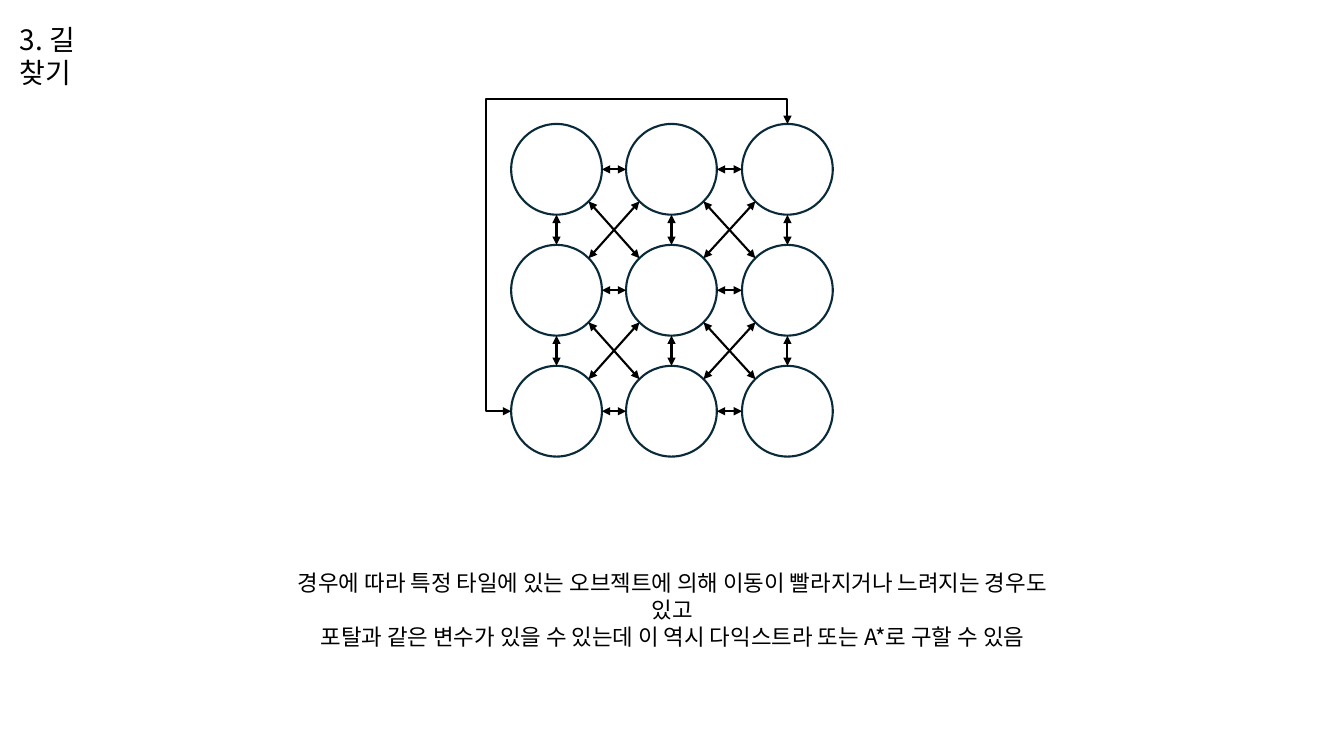
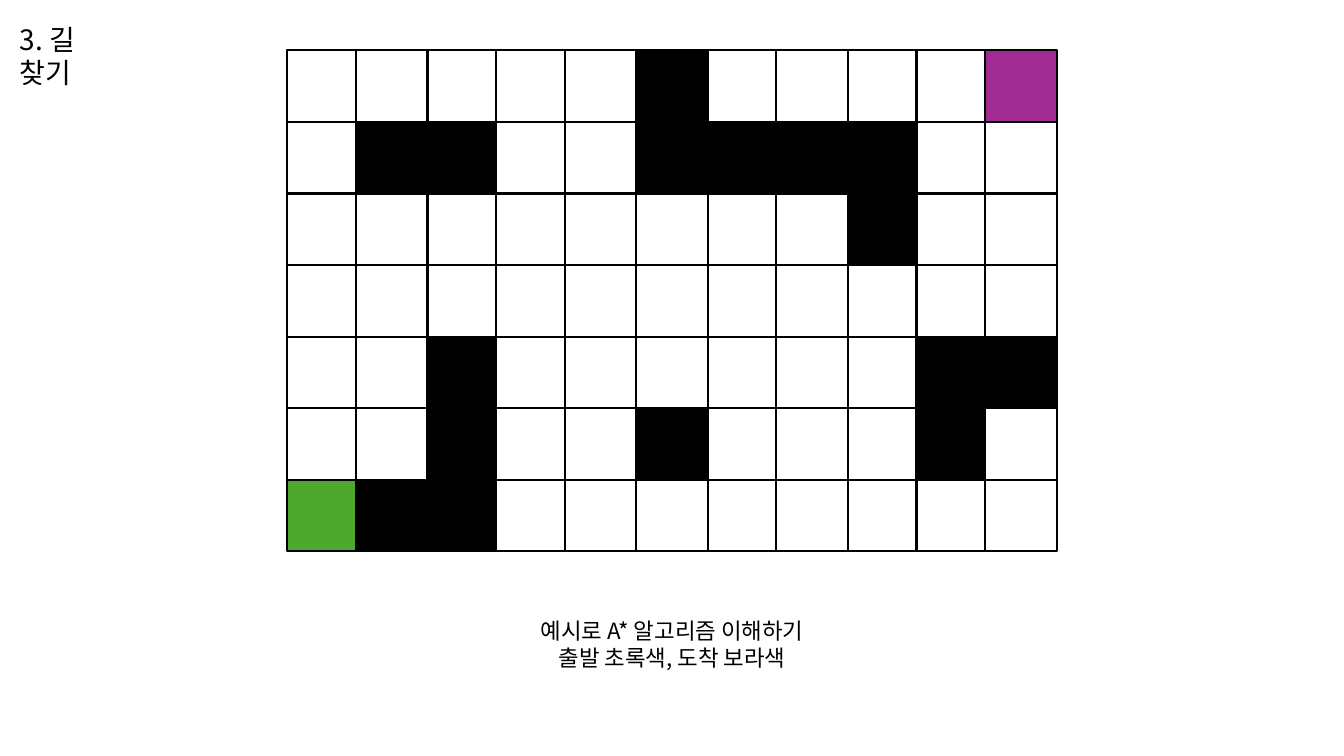
import math

from lxml import etree
from pptx import Presentation
from pptx.dml.color import RGBColor
from pptx.enum.shapes import MSO_CONNECTOR, MSO_SHAPE
from pptx.enum.text import MSO_AUTO_SIZE, PP_ALIGN
from pptx.oxml.ns import qn
from pptx.util import Inches, Pt

STRAIGHT, ELBOW = MSO_CONNECTOR.STRAIGHT, MSO_CONNECTOR.ELBOW
OVAL, RECTANGLE = MSO_SHAPE.OVAL, MSO_SHAPE.RECTANGLE
LEFT, CENTER = PP_ALIGN.LEFT, PP_ALIGN.CENTER
GROW = MSO_AUTO_SIZE.SHAPE_TO_FIT_TEXT

# Shared style
FONT = "Noto Sans CJK KR"
LINE_WIDTH = 1.5
COLORS = {
    "text": "000000",
    "line": "000000",
    "node_line": "092A39",
    "open": "FFFFFF",
    "wall": "000000",
    "start": "4EA72E",
    "goal": "A02B93",
}

# Content
TITLE = "3. 길 찾기"
GRAPH_CAPTION = [
    "경우에 따라 특정 타일에 있는 오브젝트에 의해 이동이 빨라지거나 느려지는 경우도 있고",
    "포탈과 같은 변수가 있을 수 있는데 이 역시 다익스트라 또는 A*로 구할 수 있음",
]
MAZE_CAPTION = ["예시로 A* 알고리즘 이해하기", "출발 초록색, 도착 보라색"]
MAZE = [
    ".....#....G",
    ".##..####..",
    "........#..",
    "...........",
    "..#......##",
    "..#..#...#.",
    "S##........",
]
TILES = {".": "open", "#": "wall", "S": "start", "G": "goal"}

# Node grid: centres, radius and the four directions to neighbours
NODE_X = [5.52, 6.66, 7.81]
NODE_Y = [1.68, 2.88, 4.08]
RADIUS = 0.45
DIRECTIONS = [(1, 0), (0, 1), (1, 1), (-1, 1)]
PORTAL_GAP = 0.25

# Maze grid: neighbouring columns overlap slightly
TILE = 0.71
TILE_X = [2.85, 3.53, 4.24, 4.92, 5.6, 6.31, 7.02, 7.7, 8.41, 9.09, 9.77]
MAZE_TOP = 0.5


def rgb(name):
    return RGBColor.from_string(COLORS[name])


def add_text(slide, lines, box, size, alignment):
    textbox = slide.shapes.add_textbox(*map(Inches, box))
    frame = textbox.text_frame
    frame.word_wrap = True
    frame.auto_size = GROW
    for index, line in enumerate(lines):
        paragraph = frame.paragraphs[0] if index == 0 else frame.add_paragraph()
        paragraph.alignment = alignment
        run = paragraph.add_run()
        run.text = line
        run.font.size = Pt(size)
        run.font.name = FONT
        run.font.color.rgb = rgb("text")


def add_box(slide, kind, left, top, size, fill, line):
    shape = slide.shapes.add_shape(
        kind, Inches(left), Inches(top), Inches(size), Inches(size))
    shape.shadow.inherit = False
    shape.fill.solid()
    shape.fill.fore_color.rgb = rgb(fill)
    shape.line.color.rgb = rgb(line)
    shape.line.width = Pt(LINE_WIDTH)


def add_arrow(slide, kind, start, end):
    """Draw a connector with a triangle at both ends."""
    connector = slide.shapes.add_connector(kind, *map(Inches, (*start, *end)))
    connector.line.color.rgb = rgb("line")
    connector.line.width = Pt(LINE_WIDTH)
    for tag in ("a:headEnd", "a:tailEnd"):
        etree.SubElement(connector.line._ln, qn(tag)).set("type", "triangle")
    etree.SubElement(connector._element.spPr, qn("a:effectLst"))
    return connector


def add_portal(slide):
    """Link the bottom left node to the top right one around the grid."""
    start = (NODE_X[0] - RADIUS, NODE_Y[-1])
    end = (NODE_X[-1], NODE_Y[0] - RADIUS)
    connector = add_arrow(slide, ELBOW, start, end)
    geometry = connector._element.spPr.find(qn("a:prstGeom"))
    geometry.set("prst", "bentConnector4")
    guides = geometry.find(qn("a:avLst"))
    if guides is None:
        guides = etree.SubElement(geometry, qn("a:avLst"))
    bends = (-PORTAL_GAP / (end[0] - start[0]),
             1 + PORTAL_GAP / (start[1] - end[1]))
    for number, share in enumerate(bends, 1):
        guide = etree.SubElement(guides, qn("a:gd"))
        guide.set("name", f"adj{number}")
        guide.set("fmla", f"val {round(share * 100000)}")


def add_titled_slide(presentation):
    slide = presentation.slides.add_slide(presentation.slide_layouts[6])
    add_text(slide, [TITLE], (0.1, 0.17, 1.3, 0.44), 20, LEFT)
    return slide


def build_graph(presentation):
    slide = add_titled_slide(presentation)
    nodes = {(column, row): (x, y)
             for row, y in enumerate(NODE_Y) for column, x in enumerate(NODE_X)}
    for x, y in nodes.values():
        add_box(slide, OVAL, x - RADIUS, y - RADIUS, 2 * RADIUS,
                "open", "node_line")
    # Arrows run from rim to rim
    for (column, row), (x, y) in nodes.items():
        for across, down in DIRECTIONS:
            neighbour = nodes.get((column + across, row + down))
            if neighbour:
                reach = RADIUS / math.hypot(across, down)
                shift_x, shift_y = across * reach, down * reach
                add_arrow(slide, STRAIGHT, (x + shift_x, y + shift_y),
                          (neighbour[0] - shift_x, neighbour[1] - shift_y))
    add_portal(slide)
    add_text(slide, GRAPH_CAPTION, (2.72, 5.6, 7.9, 0.64), 16, CENTER)


def build_maze(presentation):
    slide = add_titled_slide(presentation)
    for row, tiles in enumerate(MAZE):
        for left, tile in zip(TILE_X, tiles):
            add_box(slide, RECTANGLE, left, MAZE_TOP + row * TILE, TILE,
                    TILES[tile], "line")
    add_text(slide, MAZE_CAPTION, (5.24, 6.07, 2.85, 0.64), 16, CENTER)


def main():
    presentation = Presentation()
    presentation.slide_width = Inches(13.33)
    presentation.slide_height = Inches(7.5)
    build_graph(presentation)
    build_maze(presentation)
    presentation.save("out.pptx")


if __name__ == "__main__":
    main()
